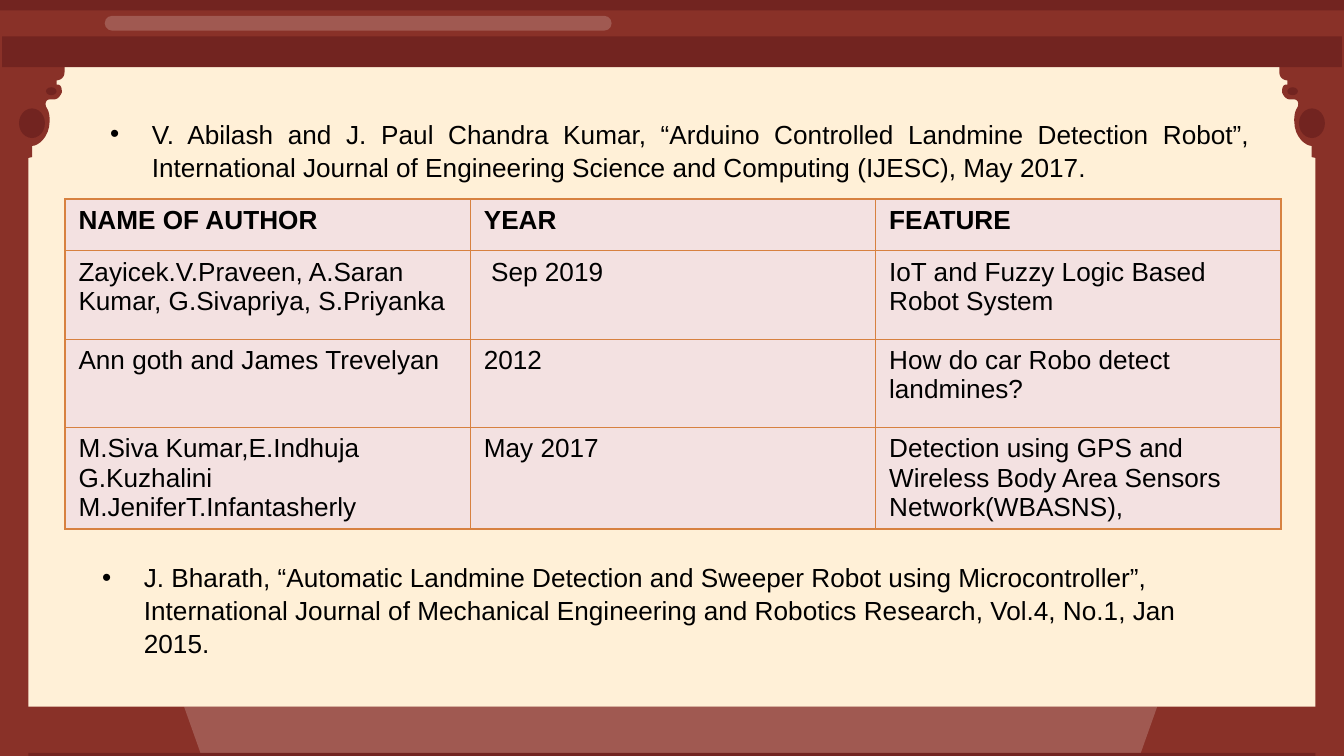
from collections import namedtuple
from dataclasses import dataclass

from lxml import etree
from pptx import Presentation
from pptx.dml.color import RGBColor
from pptx.enum.shapes import MSO_SHAPE
from pptx.enum.text import PP_ALIGN
from pptx.oxml.ns import qn
from pptx.util import Cm, Pt

RECTANGLE = MSO_SHAPE.RECTANGLE
PILL = MSO_SHAPE.ROUNDED_RECTANGLE
OVAL = MSO_SHAPE.OVAL
JUSTIFY = PP_ALIGN.JUSTIFY
LEFT = PP_ALIGN.LEFT

Box = namedtuple("Box", "left top width height")


@dataclass(frozen=True)
class Theme:
    paper: str = "FFF0D7"
    wood: str = "893128"
    dark_wood: str = "722420"
    shine: str = "FFFCF7"
    shine_alpha: int = 20
    cell: str = "F3E1E1"
    border: str = "D78140"
    ink: str = "000000"
    font: str = "Arial"
    size: int = 14
    border_width: float = 0.75


THEME = Theme()

CORNER_OUTLINE = [
    [(0, 0)], [(0, 2.39)], [(0.5, 2.39)], [(0.5, 2.24)],
    [(0.36, 2.24), (0.3, 1.73), (0.61, 1.73)],
    [(0.61, 1.52)],
    [(0.71, 1.52), (0.94, 1.37), (0.94, 1.04)],
    [(0.94, 0.91), (0.91, 0.84), (0.89, 0.81)],
    [(0.84, 0.74), (0.86, 0.64), (0.94, 0.64)],
    [(1.02, 0.64)],
    [(1.09, 0.64), (1.14, 0.58), (1.17, 0.51)],
    [(1.17, 0.46), (1.17, 0.36), (1.09, 0.36)],
    [(1.07, 0.36)], [(1.07, 0.28)],
    [(1.14, 0.28), (1.22, 0.23), (1.22, 0.13)],
]
CORNER_KNOBS = [Box(0.36, 0.81, 0.49, 0.56), Box(0.87, 0.41, 0.2, 0.15)]

STUDIES = [
    ("NAME OF AUTHOR", "YEAR", "FEATURE"),
    ("Zayicek.V.Praveen, A.Saran Kumar, G.Sivapriya, S.Priyanka", " Sep 2019",
     "IoT and Fuzzy Logic Based Robot System"),
    ("Ann goth and James Trevelyan", "2012", "How do car Robo detect landmines?"),
    ("M.Siva Kumar,E.Indhuja G.Kuzhalini M.JeniferT.Infantasherly", "May 2017",
     "Detection using GPS and Wireless Body Area Sensors Network(WBASNS),"),
]
ROW_HEIGHTS = [0.98, 1.67, 1.67, 1.67]


def paint(shape, color, alpha=100):
    shape.shadow.inherit = False
    shape.fill.solid()
    shape.fill.fore_color.rgb = RGBColor.from_string(color)
    shape.line.fill.background()
    if alpha < 100:
        tint = shape.fill._xPr.find(qn("a:solidFill"))[0]
        etree.SubElement(tint, qn("a:alpha"), val=str(alpha * 1000))


def add_part(page, kind, box, color, alpha=100):
    part = page.shapes.add_shape(kind, *[Cm(length) for length in box])
    paint(part, color, alpha)
    return part


def add_outline(page, points, color, alpha=100):
    corners = [(Cm(x), Cm(y)) for x, y in points]
    builder = page.shapes.build_freeform(*corners[0], scale=1.0)
    builder.add_line_segments(corners[1:], close=True)
    paint(builder.convert_to_shape(), color, alpha)


def flatten(outline, steps=8):
    points = []
    for segment in outline:
        if len(segment) == 1:
            points += segment
            continue
        curve = [points[-1], *segment]
        for step in range(1, steps + 1):
            t = step / steps
            weights = ((1 - t) ** 3, 3 * t * (1 - t) ** 2, 3 * t * t * (1 - t), t ** 3)
            points.append(tuple(sum(w * point[axis] for w, point in zip(weights, curve))
                                for axis in (0, 1)))
    return points + [(1.22, 0)]


def draw_corner(page, box, mirrored):
    def across(x, width=0):
        return box.left + (box.width - x - width if mirrored else x)

    points = [(across(x), box.top + y) for x, y in flatten(CORNER_OUTLINE)]
    add_outline(page, points, THEME.wood)
    for knob in CORNER_KNOBS:
        place = Box(across(knob.left, knob.width), box.top + knob.top, knob.width, knob.height)
        add_part(page, OVAL, place, THEME.dark_wood)


def draw_frame(page, box):
    left, top, width, height = box
    right, bottom = left + width, top + height
    post, beam_top, beam_height, sill = 0.54, 0.69, 0.58, 0.93

    add_part(page, RECTANGLE, Box(left, bottom - sill, width, sill), THEME.wood)
    glow = [(left + 3.48, bottom - sill), (left + 3.81, bottom),
            (right - 3.86, bottom), (right - 3.53, bottom - sill)]
    add_outline(page, glow, THEME.shine, THEME.shine_alpha)
    add_part(page, RECTANGLE, Box(left, top, width, 0.82), THEME.wood)
    add_part(page, RECTANGLE, Box(left, top, width, 0.2), THEME.dark_wood)
    gleam = add_part(page, PILL, Box(left + 1.98, top + 0.3, 9.58, 0.28),
                     THEME.shine, THEME.shine_alpha)
    gleam.adjustments[0] = 0.5
    add_part(page, RECTANGLE, Box(left, bottom - 0.06, width, 0.06), THEME.dark_wood)
    for post_left, mirrored in ((left, False), (right - post, True)):
        add_part(page, RECTANGLE,
                 Box(post_left, top + beam_top, post, height - beam_top), THEME.wood)
        corner_left = right - 1.22 if mirrored else left
        draw_corner(page, Box(corner_left, top + 1.24, 1.22, 2.39), mirrored)
    add_part(page, RECTANGLE,
             Box(left + 0.04, top + beam_top, width - 0.08, beam_height), THEME.dark_wood)


def add_span(para, text, bold=False):
    span = para.add_run()
    span.text = text
    span.font.name = THEME.font
    span.font.size = Pt(THEME.size)
    span.font.bold = bold
    span.font.color.rgb = RGBColor.from_string(THEME.ink)


def draw_reference(page, box, text, align):
    frame = page.shapes.add_textbox(*[Cm(length) for length in box]).text_frame
    frame.word_wrap = True
    para = frame.paragraphs[0]
    para.alignment = align
    para.line_spacing = 1.05
    settings = para._p.get_or_add_pPr()
    settings.set("marL", str(Cm(0.79)))
    settings.set("indent", str(-Cm(0.79)))
    bullet_color = etree.SubElement(settings, qn("a:buClr"))
    etree.SubElement(bullet_color, qn("a:srgbClr"), val=THEME.ink)
    etree.SubElement(settings, qn("a:buFont"), typeface=THEME.font)
    etree.SubElement(settings, qn("a:buChar"), char="•")
    add_span(para, text)


def add_borders(cell):
    settings = cell._tc.get_or_add_tcPr()
    for side in ("lnL", "lnR", "lnT", "lnB"):
        line = etree.SubElement(settings, qn("a:" + side), w=str(Pt(THEME.border_width)))
        fill = etree.SubElement(line, qn("a:solidFill"))
        etree.SubElement(fill, qn("a:srgbClr"), val=THEME.border)


def draw_studies(page, box):
    table = page.shapes.add_table(len(STUDIES), len(STUDIES[0]),
                                  *[Cm(length) for length in box]).table
    table.first_row = table.horz_banding = False
    for column in table.columns:
        column.width = Cm(box.width / len(STUDIES[0]))
    for index, (study, height) in enumerate(zip(STUDIES, ROW_HEIGHTS)):
        table.rows[index].height = Cm(height)
        for cell, text in zip(table.rows[index].cells, study):
            add_borders(cell)
            cell.fill.solid()
            cell.fill.fore_color.rgb = RGBColor.from_string(THEME.cell)
            add_span(cell.text_frame.paragraphs[0], text, bold=index == 0)


def main():
    deck = Presentation()
    deck.slide_width, deck.slide_height = Cm(25.4), Cm(14.29)
    page = deck.slides.add_slide(deck.slide_layouts[6])
    page.background.fill.solid()
    page.background.fill.fore_color.rgb = RGBColor.from_string(THEME.paper)
    draw_frame(page, Box(0, 0, 25.4, 14.29))
    draw_studies(page, Box(1.23, 3.76, 22.98, 5.99))
    draw_reference(page, Box(1.68, 10.46, 22.07, 2.06),
                   "J. Bharath, “Automatic Landmine Detection and Sweeper Robot using "
                   "Microcontroller”, International Journal of Mechanical Engineering and "
                   "Robotics Research, Vol.4, No.1, Jan 2015.", LEFT)
    draw_reference(page, Box(1.83, 2.08, 22.05, 1.45),
                   "V. Abilash and J. Paul Chandra Kumar, “Arduino Controlled Landmine Detection "
                   "Robot”, International Journal of Engineering Science and Computing (IJESC), "
                   "May 2017.", JUSTIFY)
    deck.save("out.pptx")


if __name__ == "__main__":
    main()
